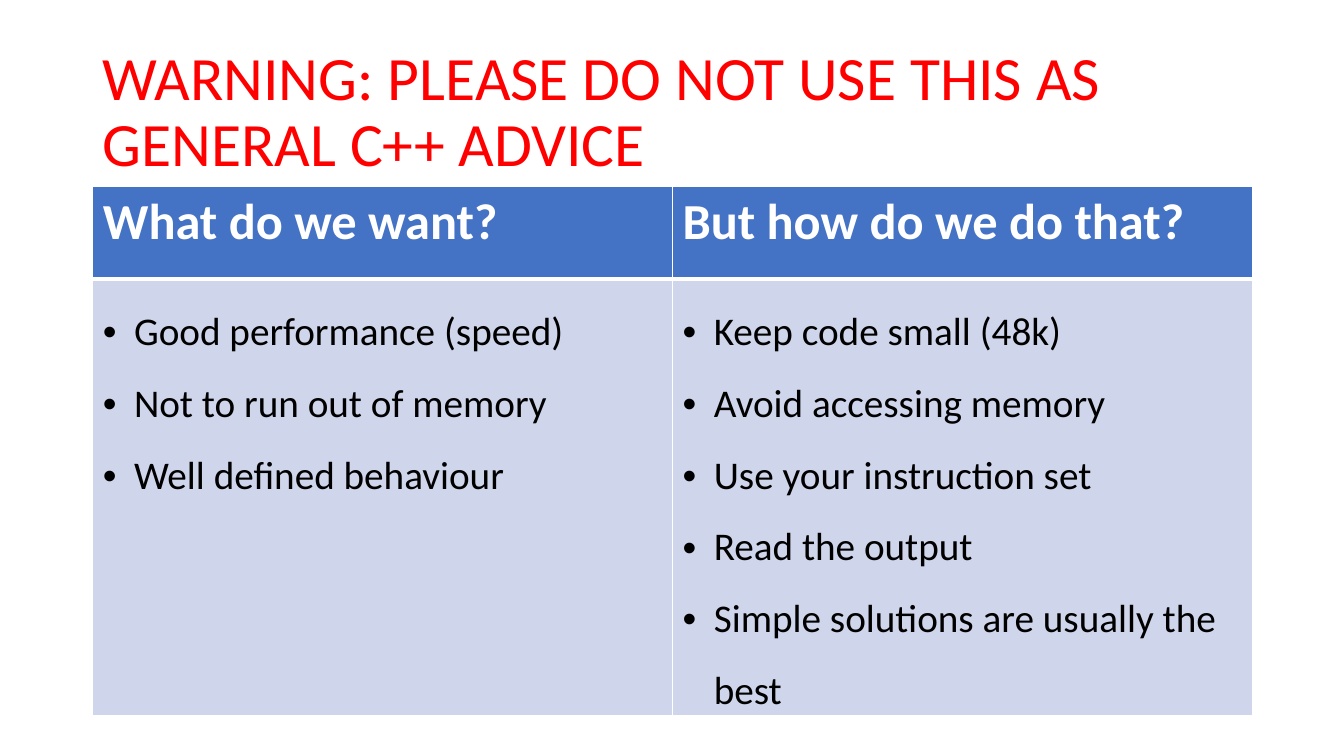
from lxml import etree
from pptx import Presentation
from pptx.dml.color import RGBColor
from pptx.enum.text import MSO_ANCHOR
from pptx.oxml.ns import qn
from pptx.util import Inches, Pt

MIDDLE = MSO_ANCHOR.MIDDLE
LEFT, WIDTH = 0.92, 11.5
HEADINGS = ["What do we want?", "But how do we do that?"]
GOALS = ["Good performance (speed)", "Not to run out of memory", "Well defined behaviour"]
METHODS = [
    "Keep code small (48k)",
    "Avoid accessing memory",
    "Use your instruction set",
    "Read the output",
    "Simple solutions are usually the best",
]


def color(value):
    return RGBColor.from_string(value)


def add_bullet(paragraph, indent):
    properties = paragraph._p.get_or_add_pPr()
    properties.set("marL", str(Inches(indent)))
    properties.set("indent", str(-Inches(indent)))
    etree.SubElement(properties, qn("a:buFont")).set("typeface", "Arial")
    etree.SubElement(properties, qn("a:buChar")).set("char", "•")


def write_text(frame, lines, *, size, fill, font, bold=False, spacing=None, indent=None):
    for index, line in enumerate(lines):
        paragraph = frame.paragraphs[0] if index == 0 else frame.add_paragraph()
        if spacing:
            paragraph.line_spacing = spacing
        if indent:
            add_bullet(paragraph, indent)
        run = paragraph.add_run()
        run.text = line
        run.font.name = font
        run.font.size = Pt(size)
        run.font.bold = bold
        run.font.color.rgb = color(fill)


def set_border(cell, side, width):
    properties = cell._tc.get_or_add_tcPr()
    line = etree.SubElement(properties, qn(f"a:ln{side}"), w=str(Pt(width)))
    solid = etree.SubElement(line, qn("a:solidFill"))
    etree.SubElement(solid, qn("a:srgbClr"), val="FFFFFF")


class AdviceSlide:
    font = "Calibri"
    header_fill = "4472C4"
    body_fill = "CFD5EA"

    def __init__(self, presentation):
        self.slide = presentation.slides.add_slide(presentation.slide_layouts[6])

    def add_title(self, text):
        box = self.slide.shapes.add_textbox(
            Inches(LEFT), Inches(0.4), Inches(WIDTH), Inches(1.45)
        )
        frame = box.text_frame
        frame.word_wrap = True
        frame.vertical_anchor = MIDDLE
        write_text(frame, [text], size=44, fill="FF0000", font=self.font, spacing=0.9)

    def style_cell(self, cell, fill, top, bottom):
        for side, width in (("L", 1), ("R", 1), ("T", top), ("B", bottom)):
            set_border(cell, side, width)
        cell.fill.solid()
        cell.fill.fore_color.rgb = color(fill)

    def add_columns(self, headings, lists):
        graphic = self.slide.shapes.add_table(
            2, len(headings), Inches(LEFT), Inches(1.85), Inches(WIDTH), Inches(5.52)
        )
        table = graphic.table
        table.rows[0].height = Inches(0.92)
        table.rows[1].height = Inches(4.33)
        graphic.height = Inches(5.52)
        for column, (heading, items) in enumerate(zip(headings, lists)):
            header, body = table.cell(0, column), table.cell(1, column)
            self.style_cell(header, self.header_fill, 1, 3)
            self.style_cell(body, self.body_fill, 3, 1)
            write_text(
                header.text_frame, [heading], size=36, fill="FFFFFF", font=self.font, bold=True
            )
            write_text(
                body.text_frame, items, size=28, fill="000000", font=self.font,
                spacing=1.5, indent=0.31,
            )


def main():
    presentation = Presentation()
    presentation.slide_width = Inches(13.33)
    presentation.slide_height = Inches(7.5)
    advice = AdviceSlide(presentation)
    advice.add_title("WARNING: PLEASE DO NOT USE THIS AS GENERAL C++ ADVICE")
    advice.add_columns(HEADINGS, [GOALS, METHODS])
    presentation.save("out.pptx")


if __name__ == "__main__":
    main()
